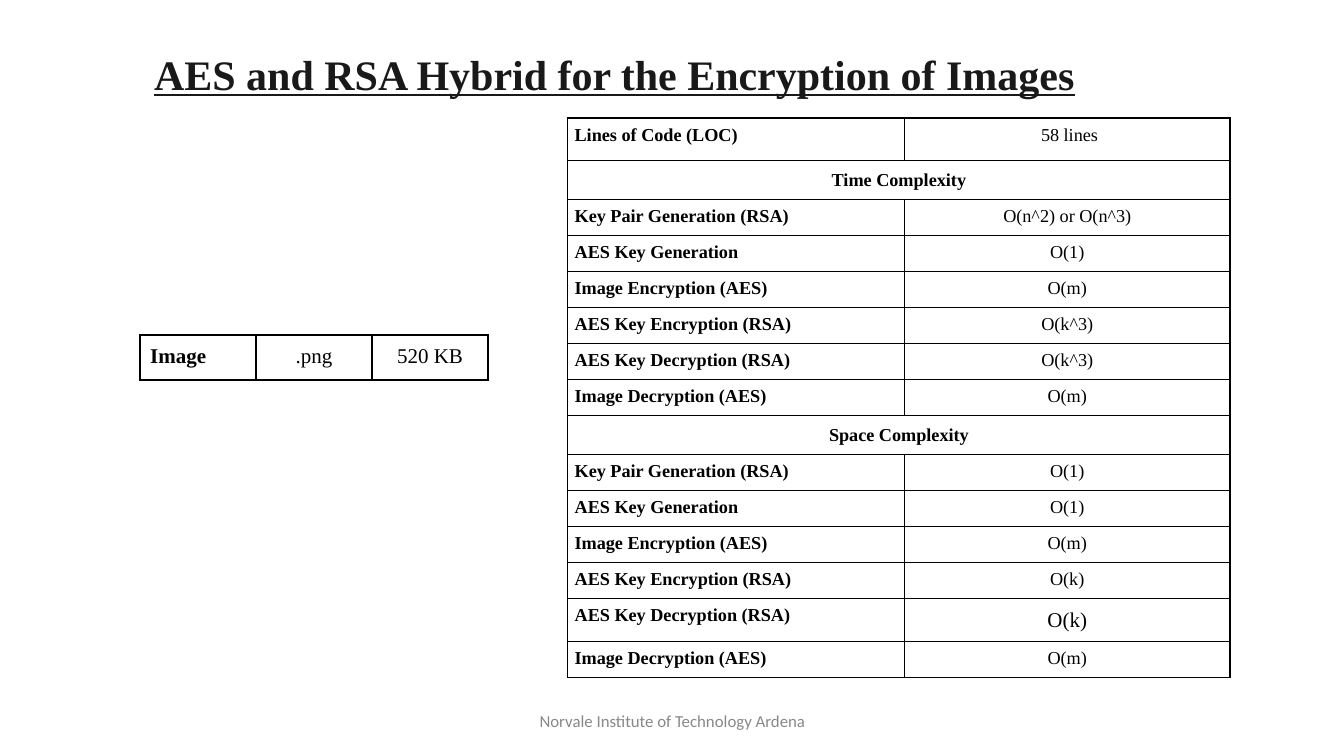
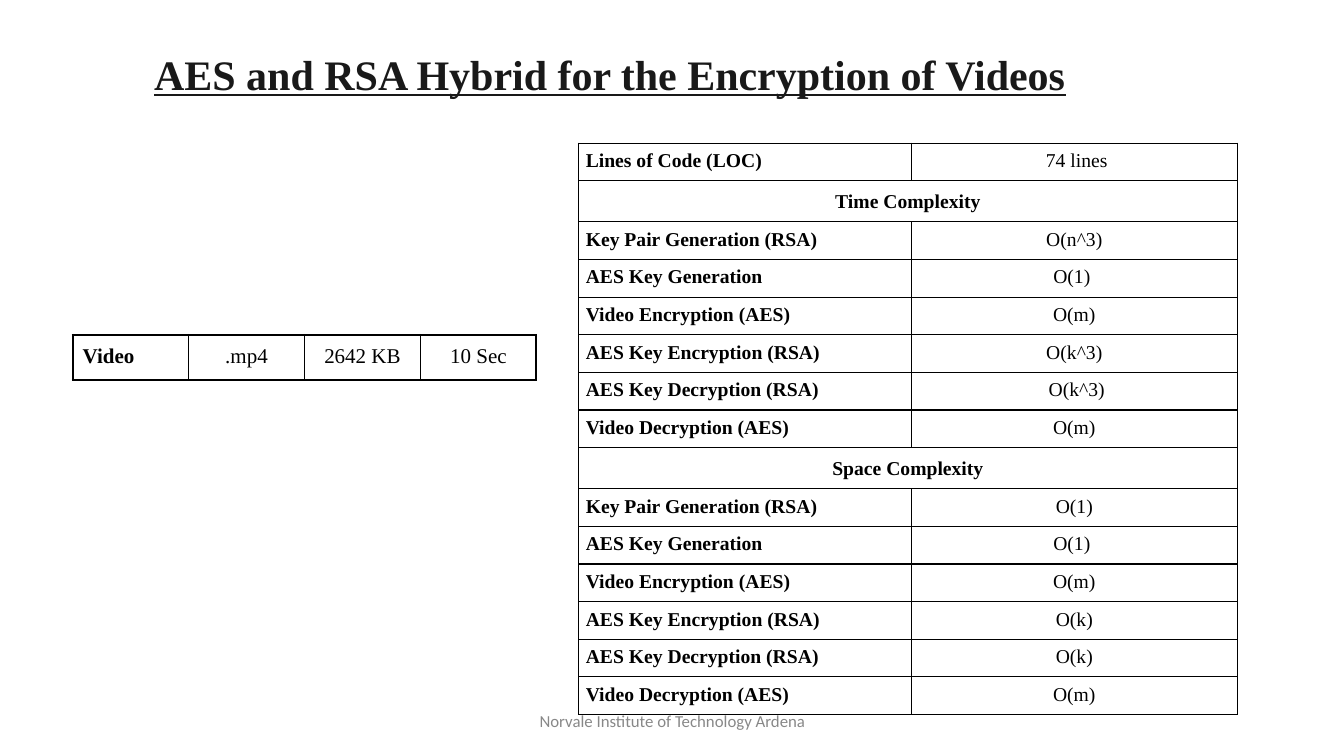
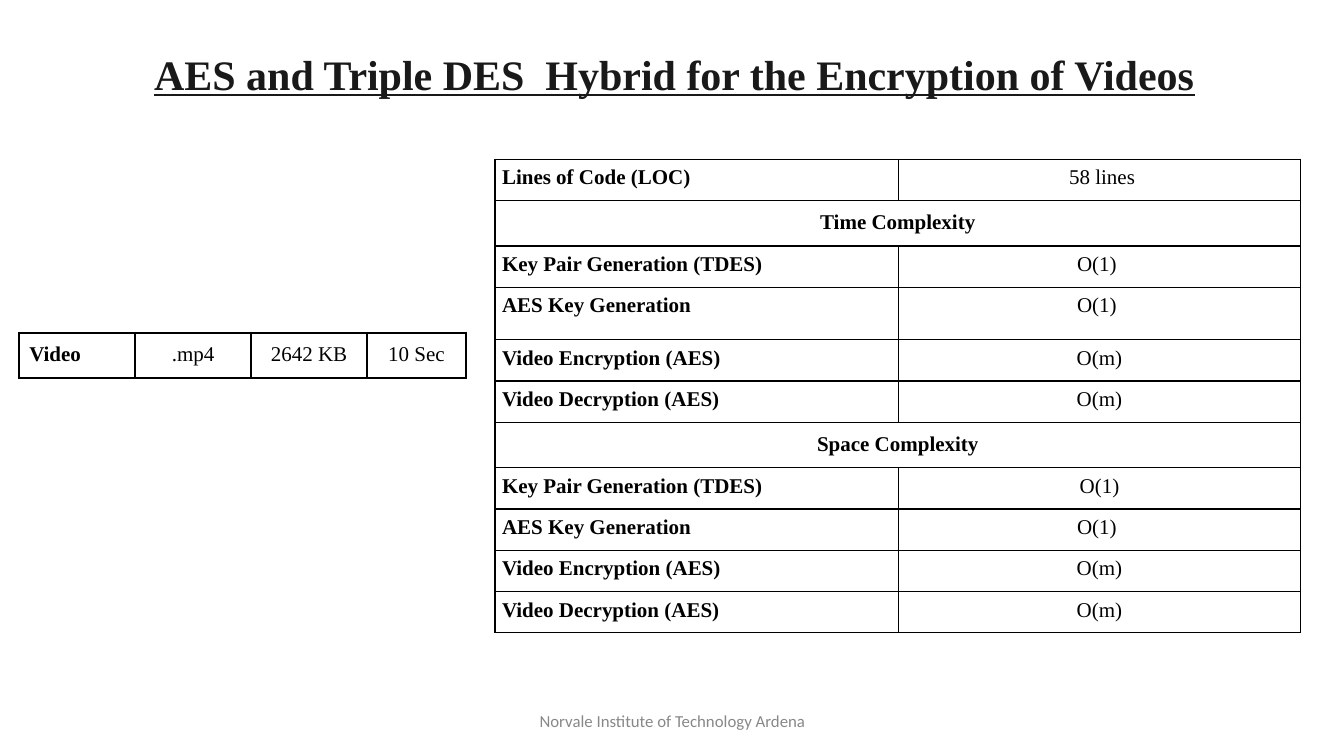
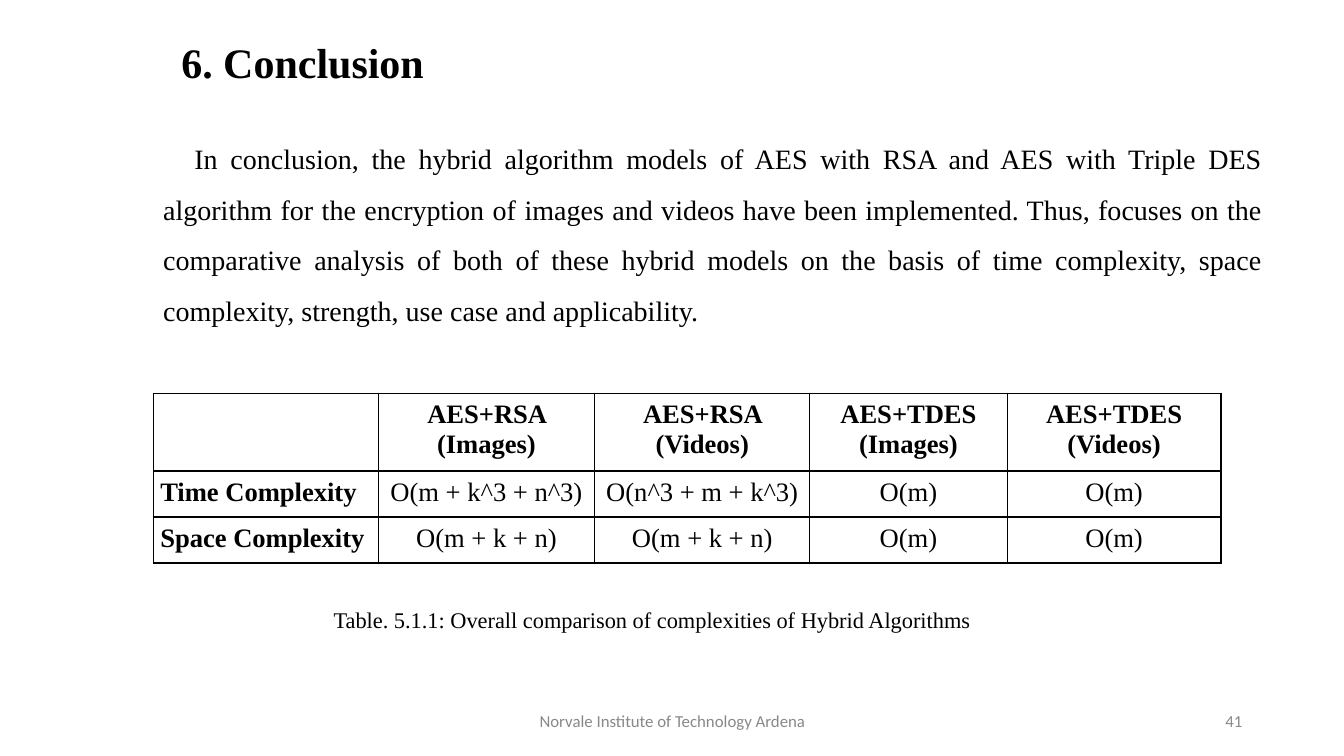
from lxml import etree
from pptx import Presentation
from pptx.dml.color import RGBColor
from pptx.enum.text import MSO_ANCHOR, PP_ALIGN
from pptx.oxml.ns import qn
from pptx.util import Inches, Pt

LEFT, MID, RIGHT, FULL = (PP_ALIGN.LEFT, PP_ALIGN.CENTER,
                          PP_ALIGN.RIGHT, PP_ALIGN.JUSTIFY)
TOP, CENTER = MSO_ANCHOR.TOP, MSO_ANCHOR.MIDDLE
COLORS = {"black": "000000", "title": "191919", "footer": "888888"}
SERIF, SANS = "Times New Roman", "Calibri"
SIDES = ("left", "right", "top", "bottom")
FOOTER = {"size": 12, "name": SANS, "color": "footer", "anchor": CENTER}
TITLE = {"size": 30, "color": "title", "bold": True, "underline": True, "pad": 0.1}

TIME, SPACE = ("Time Complexity",), ("Space Complexity",)
IMAGE_COST = [
    ("Lines of Code (LOC)", " 58 lines"),
    TIME,
    ("Key Pair Generation (RSA)", "O(n^2) or O(n^3)"),
    ("AES Key Generation", "O(1)"),
    ("Image Encryption (AES)", "O(m)"),
    ("AES Key Encryption (RSA)", "O(k^3)"),
    ("AES Key Decryption (RSA)", "O(k^3)"),
    ("Image Decryption (AES)", "O(m)"),
    SPACE,
    ("Key Pair Generation (RSA)", "O(1)"),
    ("AES Key Generation", "O(1)"),
    ("Image Encryption (AES)", "O(m)"),
    ("AES Key Encryption (RSA)", "O(k)"),
    ("AES Key Decryption (RSA)", "O(k)"),
    ("Image Decryption (AES)", "O(m)"),
]
VIDEO_COST = [
    ("Lines of Code (LOC)", " 74 lines"),
    TIME,
    ("Key Pair Generation (RSA)", "O(n^3)"),
    ("AES Key Generation", "O(1) "),
    ("Video Encryption (AES)", "O(m)"),
    ("AES Key Encryption (RSA)", "O(k^3)"),
    ("AES Key Decryption (RSA)", " O(k^3)"),
    ("Video Decryption (AES)", "O(m)"),
    SPACE,
    ("Key Pair Generation (RSA)", "O(1)"),
    ("AES Key Generation", "O(1) "),
    ("Video Encryption (AES)", "O(m)"),
    ("AES Key Encryption (RSA)", "O(k)"),
    ("AES Key Decryption (RSA)", "O(k)"),
    ("Video Decryption (AES)", "O(m)"),
]
TRIPLE_COST = [
    ("Lines of Code (LOC)", " 58 lines"),
    TIME,
    ("Key Pair Generation (TDES)", "O(1) "),
    ("AES Key Generation", "O(1) "),
    ("Video Encryption (AES)", "O(m)"),
    ("Video Decryption (AES)", "O(m)"),
    SPACE,
    ("Key Pair Generation (TDES)", "O(1)"),
    ("AES Key Generation", "O(1) "),
    ("Video Encryption (AES)", "O(m)"),
    ("Video Decryption (AES)", "O(m)"),
]
TOTALS = [
    ("", "AES+RSA (Images)", "AES+RSA (Videos)",
     "AES+TDES (Images)", "AES+TDES (Videos)"),
    ("Time Complexity", "O(m + k^3 + n^3)", "O(n^3 + m + k^3)", "O(m)", "O(m)"),
    ("Space Complexity", "O(m + k + n)", "O(m + k + n)", "O(m)", "O(m)"),
]
VIDEO = ("Video", ".mp4", "2642 KB", "10 Sec")
CLOSING = (
    "In conclusion, the hybrid algorithm models of AES with RSA and AES with "
    "Triple DES algorithm for the encryption of images and videos have been "
    "implemented. Thus, focuses on the comparative analysis of both of these "
    "hybrid models on the basis of time complexity, space complexity, strength, "
    "use case and applicability."
)


def apply(item, values):
    for name, value in values.items():
        setattr(item, name, value)


def write(para, text, size, align=LEFT, name=SERIF, color="black",
          bold=False, underline=False, spacing=1.0):
    apply(para, {"alignment": align, "line_spacing": spacing})
    run = para.add_run()
    run.text = text
    apply(run.font, {"size": Pt(size), "name": name, "bold": bold,
                     "underline": underline})
    run.font.color.rgb = RGBColor.from_string(COLORS[color])


def label(slide, box, text, pad=0.05, anchor=TOP, **style):
    frame = slide.shapes.add_textbox(*map(Inches, box)).text_frame
    apply(frame, {"word_wrap": True, "vertical_anchor": anchor,
                  "margin_left": Inches(0.1), "margin_right": Inches(0.1),
                  "margin_top": Inches(pad), "margin_bottom": Inches(pad)})
    write(frame.paragraphs[0], text, **style)
    return frame.paragraphs[0]


def outline(cell, width):
    """Draw a black line on all four sides of a cell."""
    props = cell._tc.get_or_add_tcPr()
    for index, tag in enumerate(("a:lnL", "a:lnR", "a:lnT", "a:lnB")):
        line = etree.Element(qn(tag), w=str(Pt(width)))
        fill = etree.SubElement(line, qn("a:solidFill"))
        etree.SubElement(fill, qn("a:srgbClr"), val=COLORS["black"])
        props.insert(index, line)


def grid(slide, spot, widths, heights, rows, size, pad=0.07, width=1, header=False):
    """Add a ruled table; a row with one text spans all columns."""
    area = (*spot, sum(widths), sum(heights))
    table = slide.shapes.add_table(len(rows), len(widths),
                                   *map(Inches, area)).table
    apply(table, {"first_row": False, "horz_banding": False})
    for column, value in zip(table.columns, widths):
        column.width = Inches(value)
    for r, texts in enumerate(rows):
        table.rows[r].height = Inches(heights[r])
        for c in range(len(widths)):
            cell = table.cell(r, c)
            apply(cell, {f"margin_{side}": Inches(pad) for side in SIDES})
            cell.fill.background()
            outline(cell, width)
        span = len(texts) == 1
        if span:
            table.cell(r, 0).merge(table.cell(r, len(widths) - 1))
        for c, text in enumerate(texts):
            if text:
                write(table.cell(r, c).text_frame.paragraphs[0], text, size,
                      align=MID if c or span else LEFT,
                      bold=c == 0 or (header and r == 0),
                      spacing=1.15 if span else 1.0)
    return table


def costs(slide, spot, widths, rows, size, plain, section, taller):
    """Add a table of costs, with the height of some rows given by index."""
    heights = [taller.get(r, section if len(row) == 1 else plain)
               for r, row in enumerate(rows)]
    return grid(slide, spot, widths, heights, rows, size)


def sample(slide, spot, texts, last=1.15):
    widths = [1.15] * (len(texts) - 1) + [last]
    grid(slide, spot, widths, [0.42], [texts], 15, pad=0.1, width=1.5)


def start(deck):
    slide = deck.slides.add_slide(deck.slide_layouts[6])
    label(slide, (4.42, 6.95, 4.5, 0.4), "Norvale Institute of Technology Ardena",
          align=MID, **FOOTER)
    return slide


def compare(deck, title, cost, file, wide=9.83):
    """Add a slide with a table of costs and a strip on the sample file."""
    slide = start(deck)
    label(slide, (1.43, 0.38, wide, 0.63), title, **TITLE)
    table = costs(slide, **cost)
    sample(slide, **file)
    return table


def finish(deck):
    slide = start(deck)
    label(slide, (9.42, 6.95, 3, 0.4), "41", align=RIGHT, **FOOTER)
    label(slide, (1.7, 0.31, 4.04, 1.11), "6. Conclusion", size=30, bold=True)
    para = label(slide, (1.52, 1.14, 11.1, 2.05), CLOSING, pad=0.1, size=20,
                 align=FULL, spacing=1.5)
    para.space_after = Pt(8)
    para._p.get_or_add_pPr().set("indent", str(Inches(0.31)))
    grid(slide, (1.52, 3.9), [2.23, 2.15, 2.13, 1.96, 2.12], [0.77, 0.45, 0.45],
         TOTALS, 19, header=True)
    label(slide, (3.21, 5.95, 6.66, 0.4),
          "Table. 5.1.1: Overall comparison of complexities of Hybrid Algorithms",
          pad=0.1, anchor=CENTER, size=16)


def main():
    deck = Presentation()
    apply(deck, {"slide_width": Inches(13.33), "slide_height": Inches(7.5)})
    table = compare(
        deck, "AES and RSA Hybrid for the Encryption of Images",
        {"spot": (5.63, 1.17), "widths": [3.34, 3.23], "rows": IMAGE_COST,
         "size": 13, "plain": 0.35, "section": 0.38, "taller": {0: 0.42, 13: 0.42}},
        {"spot": (1.39, 3.32), "texts": ("Image", ".png", "520 KB")})
    large = table.cell(13, 1).text_frame.paragraphs[0]
    large.line_spacing = 1.15
    large.runs[0].font.size = Pt(15)
    compare(
        deck, "AES and RSA Hybrid for the Encryption of Videos",
        {"spot": (5.74, 1.42), "widths": [3.3, 3.23], "rows": VIDEO_COST,
         "size": 14, "plain": 0.37, "section": 0.4, "taller": {}},
        {"spot": (0.72, 3.32), "texts": VIDEO})
    compare(
        deck, "AES and Triple DES  Hybrid for the Encryption of Videos",
        {"spot": (4.91, 1.58), "widths": [4, 3.99], "rows": TRIPLE_COST,
         "size": 15, "plain": 0.41, "section": 0.45, "taller": {3: 0.52}},
        {"spot": (0.19, 3.3), "texts": VIDEO, "last": 0.98}, wide=11.4)
    finish(deck)
    deck.save("out.pptx")


if __name__ == "__main__":
    main()
